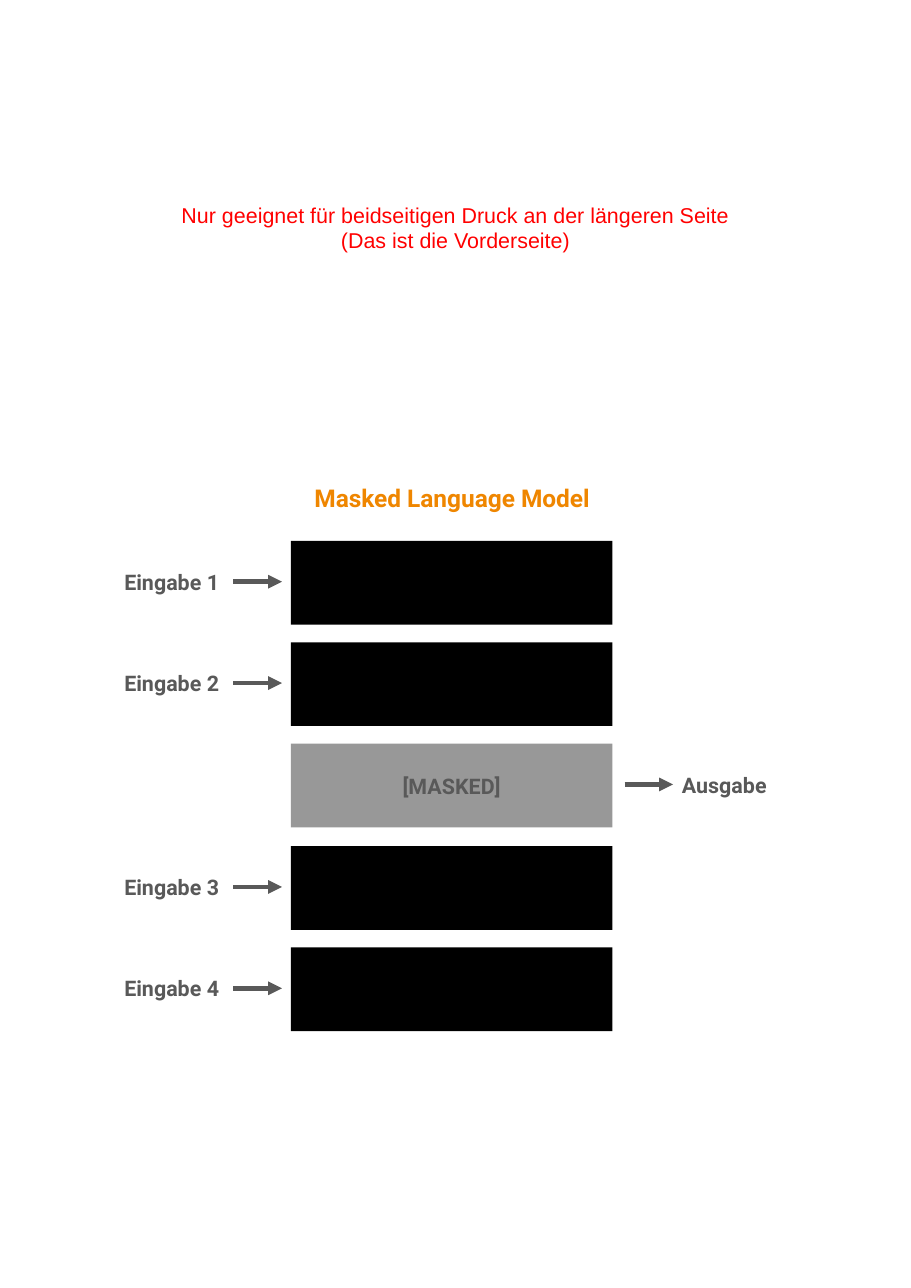
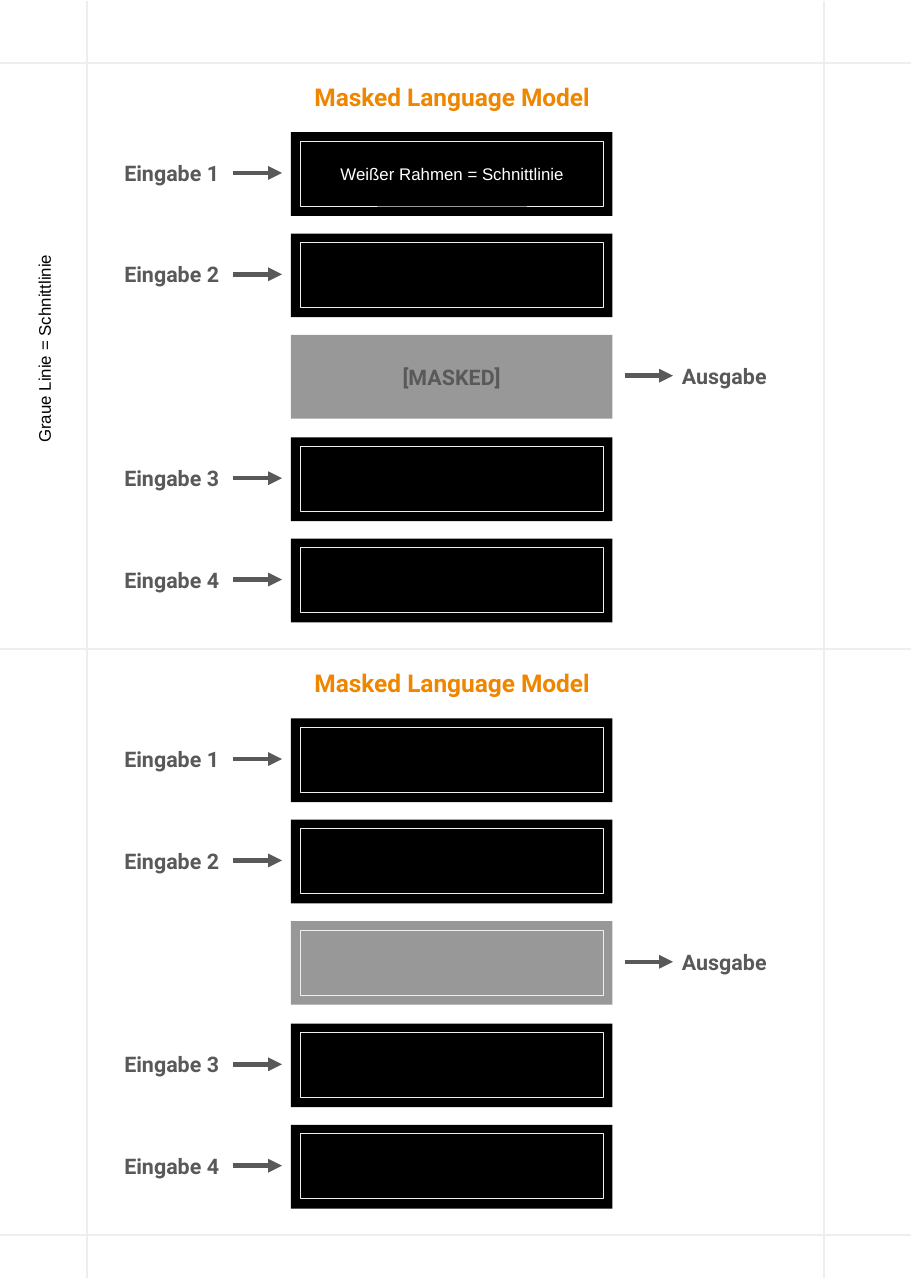
from lxml import etree
from pptx import Presentation
from pptx.dml.color import RGBColor
from pptx.enum import shapes, text
from pptx.oxml import ns
from pptx.util import Emu, Pt

PX = 9144  # 100 px to the inch
PAGE_W, PAGE_H = 827, 1169
COLORS = {"black": "000000", "mask": "989898", "label": "595959",
          "title": "EF8600", "cut": "EEEEEE", "note": "FF0000",
          "white": "FFFFFF"}
LEFT, CENTER, RIGHT = (text.PP_ALIGN.LEFT, text.PP_ALIGN.CENTER,
                       text.PP_ALIGN.RIGHT)

# Content
TITLE = "Masked Language Model"
OUTPUT = "Ausgabe"
ROWS = ["Eingabe 1", "Eingabe 2", None, "Eingabe 3", "Eingabe 4"]
MASKED = "[MASKED]"
PRINT_NOTE = ["Nur geeignet für beidseitigen Druck an der längeren Seite",
              "(Das ist die Vorderseite)"]
FRAME_NOTE = "Weißer Rahmen = Schnittlinie"
LINE_NOTE = "Graue Linie = Schnittlinie"

# Layout
BOX_X, BOX_W, BOX_H, ROW_STEP = 264, 292, 76, 92.25
FRAME_DX, FRAME_DY, FRAME_W, FRAME_H = 9, 8, 275, 59
LABEL_W, LABEL_H, LABEL_DY, ARROW_DY = 115, 40, 17, 37
INPUT_X, INPUT_ARROW_X, OUTPUT_X, OUTPUT_ARROW_X = 92, 212, 611, 567
ARROW_W = 44
TITLE_X, TITLE_W, TITLE_H = 228, 365, 44
PANEL_STEP = 532
FRONT_TOP, BACK_TOP = 491, 120
CUT_XS = (79, 748)
CUT_YS = [57 + i * PANEL_STEP for i in range(3)]


def rgb(name):
    return RGBColor.from_string(COLORS[name])


def px(*lengths):
    return [Emu(int(length * PX)) for length in lengths]


def write(shape, lines, size, color, align=CENTER, font="Roboto", bold=True,
          inset=8, wrap=True):
    frame = shape.text_frame
    frame.text = "\n".join(lines)
    frame.word_wrap = wrap
    frame.auto_size = text.MSO_AUTO_SIZE.NONE
    frame.vertical_anchor = text.MSO_ANCHOR.MIDDLE
    (frame.margin_left, frame.margin_right,
     frame.margin_top, frame.margin_bottom) = px(*[inset] * 4)
    for paragraph in frame.paragraphs:
        paragraph.alignment = align
        paragraph.font.name = font
        paragraph.font.size = Pt(size)
        paragraph.font.bold = bold
        paragraph.font.color.rgb = rgb(color)


def write_note(shape, lines, size, color):
    write(shape, lines, size, color, font="Arial", bold=False, inset=5,
          wrap=False)


def add_label(slide, x, y, label, align):
    box = slide.shapes.add_textbox(*px(x, y, LABEL_W, LABEL_H))
    write(box, [label], 14, "label", align)


def add_line(slide, x1, y1, x2, y2, color, width, arrow=False):
    line = slide.shapes.add_connector(shapes.MSO_CONNECTOR.STRAIGHT,
                                      *px(x1, y1, x2, y2))
    line.line.color.rgb = rgb(color)
    line.line.width = Pt(width)
    if arrow:
        etree.SubElement(line.line._get_or_add_ln(), ns.qn("a:tailEnd"),
                         type="triangle")
    etree.SubElement(line._element.spPr, ns.qn("a:effectLst"))


def add_rect(slide, x, y, w, h, fill=None, outline=None):
    rect = slide.shapes.add_shape(shapes.MSO_SHAPE.RECTANGLE, *px(x, y, w, h))
    rect.shadow.inherit = False
    if fill:
        rect.fill.solid()
        rect.fill.fore_color.rgb = rgb(fill)
    else:
        rect.fill.background()
    if outline:
        rect.line.color.rgb = rgb(outline)
        rect.line.width = Pt(0.5)
    else:
        rect.line.fill.background()
    return rect


def place_title(shape, y):
    shape.left, shape.top, shape.width, shape.height = px(
        TITLE_X, y, TITLE_W, TITLE_H)
    write(shape, [TITLE], 16, "title")


def add_panel(slide, top, framed, mask_text=None, frame_note=None):
    """Draw the column of boxes with its arrows; top is that of the first box."""
    for i, label in enumerate(ROWS):
        y = top + round(i * ROW_STEP)
        box = add_rect(slide, BOX_X, y, BOX_W, BOX_H,
                       "black" if label else "mask")
        if label:
            add_label(slide, INPUT_X, y + LABEL_DY, label, RIGHT)
            arrow_x = INPUT_ARROW_X
        else:
            add_label(slide, OUTPUT_X, y + LABEL_DY, OUTPUT, LEFT)
            arrow_x = OUTPUT_ARROW_X
            if mask_text:
                write(box, [mask_text], 14, "label")
        add_line(slide, arrow_x, y + ARROW_DY, arrow_x + ARROW_W,
                 y + ARROW_DY, "label", 3, arrow=True)
        if framed and (label or not mask_text):
            frame = add_rect(slide, BOX_X + FRAME_DX, y + FRAME_DY,
                             FRAME_W, FRAME_H, outline="cut")
            if frame_note and i == 0:
                write_note(frame, [frame_note], 11, "white")


def build_front(slide):
    place_title(slide.shapes.title, FRONT_TOP - 61)
    add_panel(slide, FRONT_TOP, framed=False, mask_text=MASKED)
    note = slide.shapes.add_textbox(*px(154, 178, 519, 57))
    write_note(note, PRINT_NOTE, 14, "note")


def build_back(slide):
    second_top = BACK_TOP + PANEL_STEP
    second_title = slide.shapes.add_textbox(*px(0, 0, TITLE_W, TITLE_H))
    place_title(slide.shapes.title, BACK_TOP - 54)
    place_title(second_title, second_top - 54)
    add_panel(slide, BACK_TOP, framed=True, mask_text=MASKED,
              frame_note=FRAME_NOTE)
    add_panel(slide, second_top, framed=True)
    for y in CUT_YS:
        add_line(slide, 0, y, PAGE_W, y, "cut", 1)
    for x in CUT_XS:
        add_line(slide, x, 1, x, 1160, "cut", 1)
    note = slide.shapes.add_textbox(*px(-56, 302, 192, 29))
    note.rotation = 270
    write_note(note, [LINE_NOTE], 11, "black")


def main():
    deck = Presentation()
    deck.slide_width, deck.slide_height = px(PAGE_W, PAGE_H)
    title_only = deck.slide_layouts[5]
    for build in (build_front, build_back):
        build(deck.slides.add_slide(title_only))
    deck.save("out.pptx")


if __name__ == "__main__":
    main()
